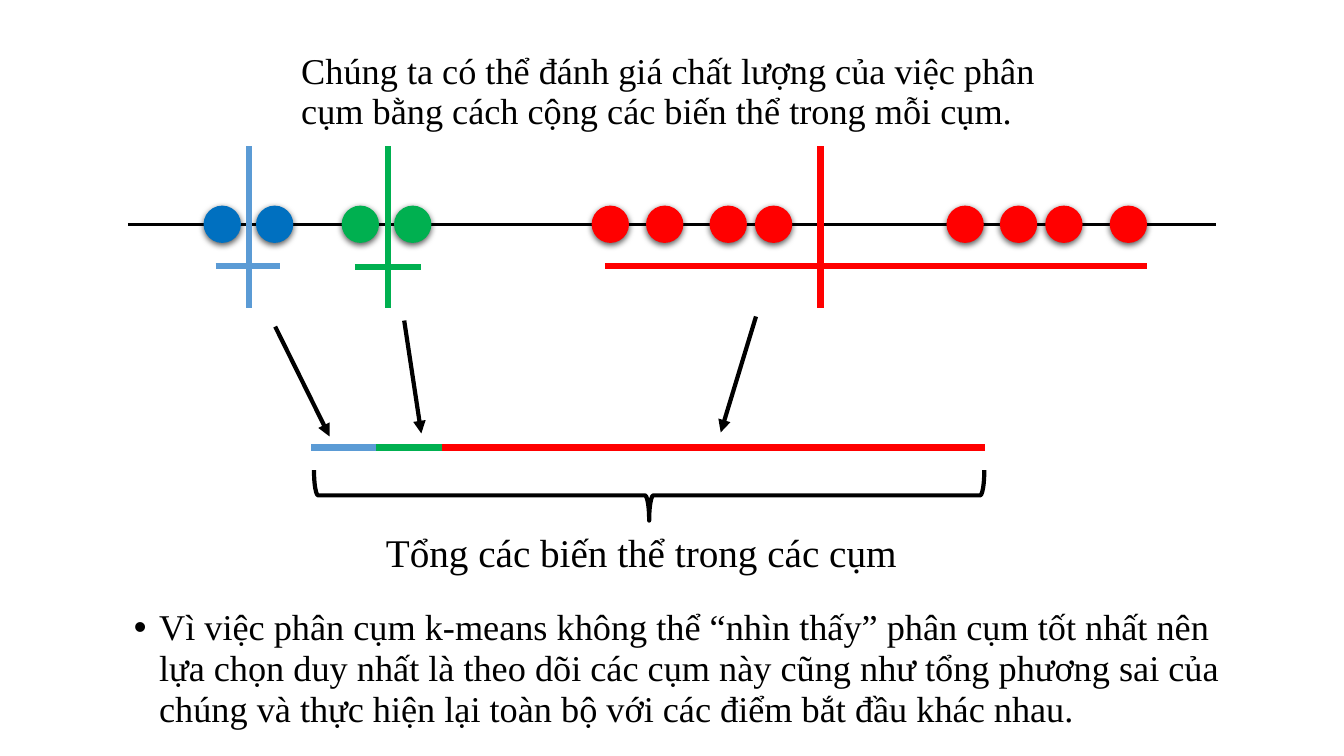
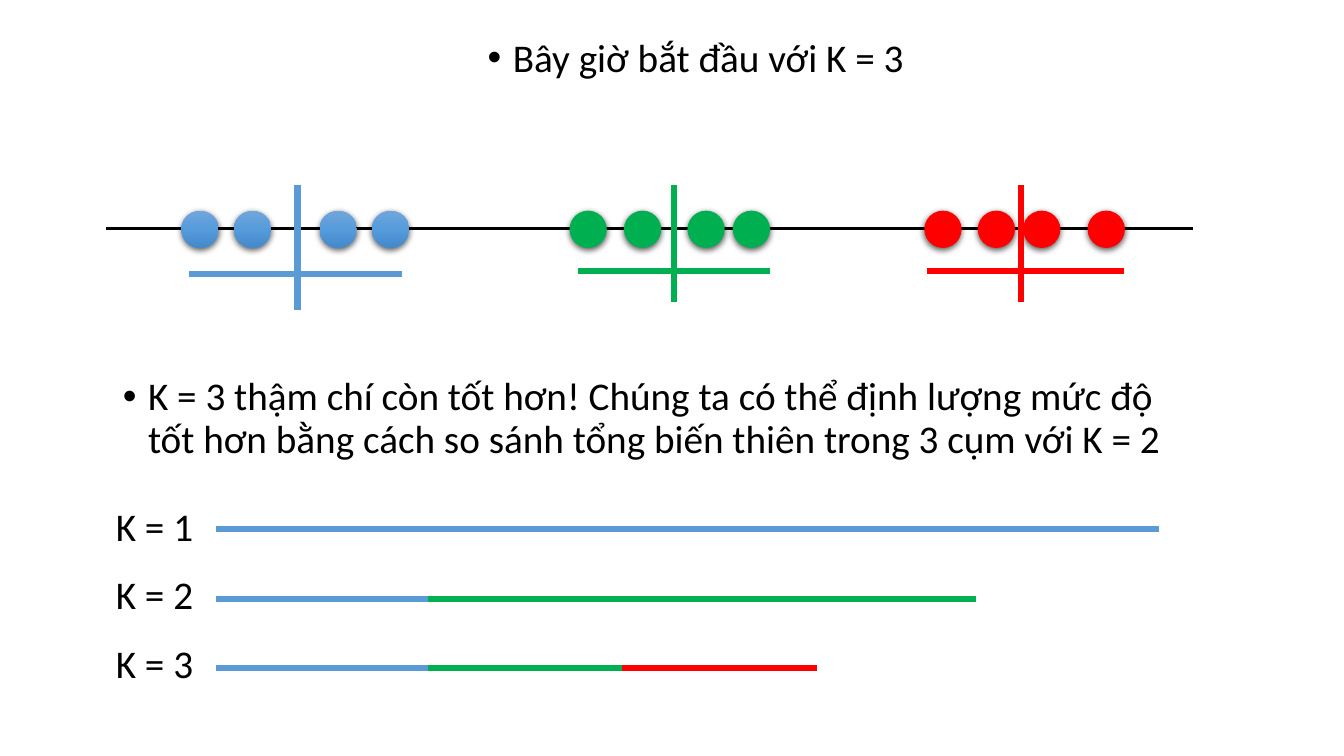
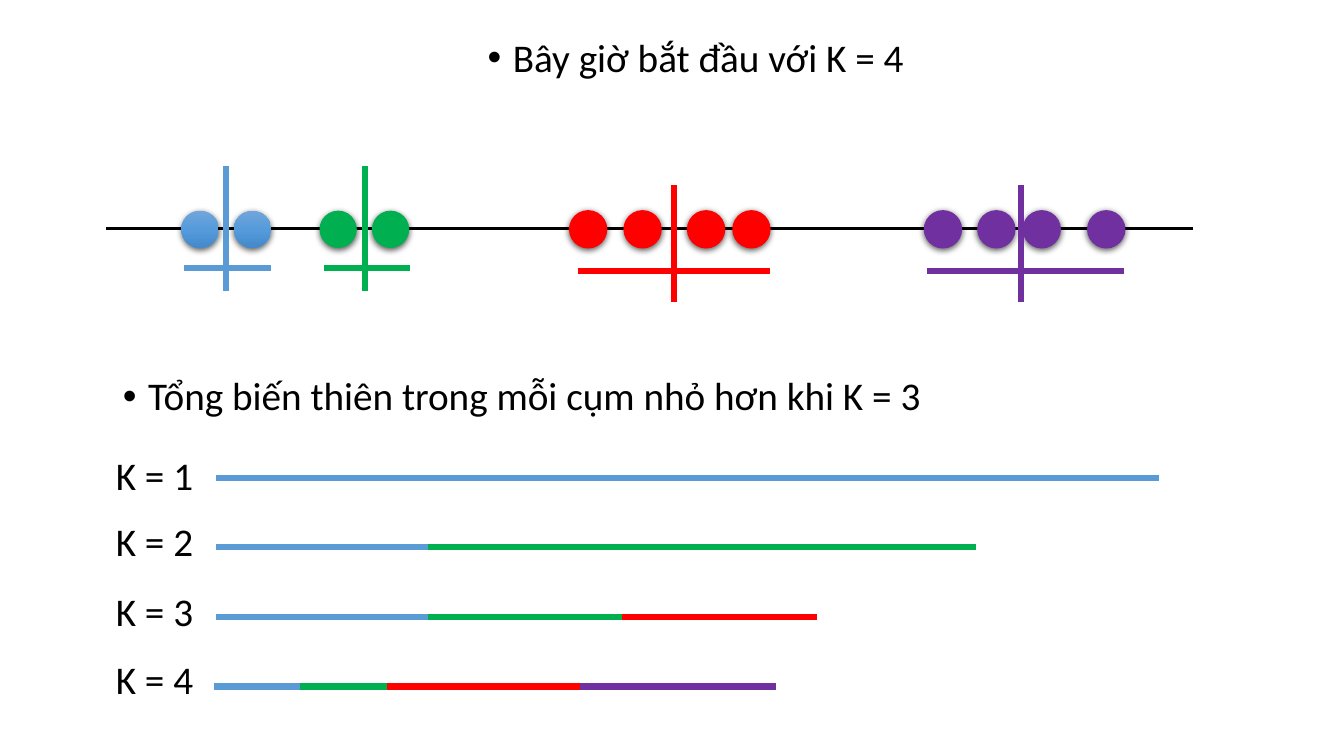
from copy import deepcopy
from itertools import pairwise

from lxml.etree import SubElement as Sub
from pptx import Presentation
from pptx.dml.color import RGBColor as Rgb
from pptx.enum.shapes import MSO_CONNECTOR as Link, MSO_SHAPE as Form
from pptx.oxml.ns import qn
from pptx.util import Emu, Pt

PX = 9144
HUES = {
    "black": "000000", "navy": "0070C0", "blue": "5B9BD5", "green": "00B050",
    "red": "FF0000", "purple": "7030A0",
    "light": "71A6DB", "mid": "559BDB", "deep": "448ACA",
}
ORDER = ["blue", "green", "red", "purple"]
SHADE = [(0, "light"), (0.5, "mid"), (1, "deep")]
TIMES = ("Times New Roman", 25.9, 0.94)
LARGE = ("Times New Roman", 28, 0.9)
PLAIN = ("Calibri", 28, 0.9)

DOTS = [180, 232, 317, 369, 565, 619, 682, 727, 917, 970, 1015, 1079]
DOT = 37
BARS = [
    (214, 1150),
    (214, 425, 968),
    (214, 425, 617, 811),
    (212, 298, 384, 575, 770),
]
PITCH = 69
TOTAL = (309, 373, 439, 977)
ARROWS = [(273, 324, 327, 433), (401, 318, 418, 430), (750, 314, 715, 429)]

SLIDES = [
    {
        "axis": (127, 1206, 223), "shift": 22, "dots": 204,
        "sets": [
            ("navy", 2, 0, "blue", (247, 145, 306), (214, 278, 264)),
            ("green", 2, 0, "green", (385, 145, 306), (352, 418, 265)),
            ("red", 8, 0, "red", (814, 145, 306), (600, 1138, 264)),
        ],
        "texts": [
            ((289, 46, 811, 107), "Chúng ta có thể đánh giá chất lượng của việc phân cụm bằng "
             "cách cộng các biến thể trong mỗi cụm.", TIMES, False),
            ((373, 524, 572, 71), "Tổng các biến thể trong các cụm", LARGE, False),
            ((123, 598, 1119, 133), "Vì việc phân cụm k-means không thể “nhìn thấy” phân cụm "
             "tốt nhất nên lựa chọn duy nhất là theo dõi các cụm này cũng như tổng phương sai "
             "của chúng và thực hiện lại toàn bộ với các điểm bắt đầu khác nhau.", TIMES, True),
        ],
        "rows": [], "base": 0,
    },
    {
        "axis": (105, 1184, 227), "shift": 0, "dots": 209,
        "sets": [
            ("blue", 4, 0, "blue", (295, 184, 308), (188, 399, 272)),
            ("green", 4, 0, "green", (669, 184, 300), (573, 764, 269)),
            ("red", 4, 0, "red", (1013, 184, 300), (920, 1115, 269)),
        ],
        "texts": [
            ((474, 33, 443, 97), "Bây giờ bắt đầu với K = 3", PLAIN, True),
            ((112, 369, 1072, 109), "K = 3 thậm chí còn tốt hơn! Chúng ta có thể định lượng "
             "mức độ tốt hơn bằng cách so sánh tổng biến thiên trong 3 cụm với K = 2",
             PLAIN, True),
        ],
        "rows": [499, 566, 635], "base": 525,
    },
    {
        "axis": (105, 1184, 227), "shift": 0, "dots": 209,
        "sets": [
            ("blue", 2, 0, "blue", (224, 165, 289), (183, 269, 266)),
            ("green", 2, 0, "green", (362, 165, 289), (321, 407, 266)),
            ("red", 4, 0.75, "red", (669, 184, 300), (573, 764, 269)),
            ("purple", 4, 0.75, "purple", (1013, 184, 300), (920, 1115, 269)),
        ],
        "texts": [
            ((474, 33, 443, 97), "Bây giờ bắt đầu với K = 4", PLAIN, True),
            ((112, 369, 1072, 70), "Tổng biến thiên trong mỗi cụm nhỏ hơn khi K = 3",
             PLAIN, True),
        ],
        "rows": [448, 514, 583, 650], "base": 474,
    },
]


def px(*nums):
    return [Emu(n * PX) for n in nums]


def hue(name):
    return Rgb.from_string(HUES[name])


def line(slide, ends, color, width=4.5, arrow=False):
    item = slide.shapes.add_connector(Link.STRAIGHT, *px(*ends))
    item.line.color.rgb = hue(color)
    item.line.width = Pt(width)
    if arrow:
        Sub(item.line._get_or_add_ln(), qn("a:tailEnd"), type="triangle")
    Sub(item._element.spPr, qn("a:effectLst"))


def text(slide, box, words, style, bullet=False):
    font, size, lead = style
    frame = slide.shapes.add_textbox(*px(*box)).text_frame
    frame.word_wrap = True
    para = frame.paragraphs[0]
    para.line_spacing = lead
    if bullet:
        props = para._p.get_or_add_pPr()
        props.set("marL", "228600")
        props.set("indent", "-228600")
        Sub(props, qn("a:buFont"), typeface="Arial")
        Sub(props, qn("a:buChar"), char="•")
    run = para.add_run()
    run.text = words
    run.font.name = font
    run.font.size = Pt(size)
    run.font.color.rgb = hue("black")


def blend(shape):
    shape.fill.gradient()
    shape.fill.gradient_angle = 270
    stops = shape._element.spPr.find(".//" + qn("a:gsLst"))
    stops.append(deepcopy(stops[0]))
    for stop, (place, color) in zip(shape.fill.gradient_stops, SHADE):
        stop.position = place
        stop.color.rgb = hue(color)


def dot(slide, left, top, color, edge):
    shape = slide.shapes.add_shape(Form.FLOWCHART_CONNECTOR, *px(left, top, DOT, DOT))
    if color == "blue":
        blend(shape)
    else:
        shape.fill.solid()
        shape.fill.fore_color.rgb = hue(color)
    if edge:
        shape.line.color.rgb = hue(color)
        shape.line.width = Pt(edge)
    else:
        shape.line.fill.background()
    shape.shadow.inherit = False
    glow = Sub(shape._element.spPr.find(qn("a:effectLst")), qn("a:outerShdw"),
               blurRad="57150", dist="19050", dir="5400000", algn="ctr", rotWithShape="0")
    tint = Sub(glow, qn("a:srgbClr"), val=HUES["black"])
    Sub(tint, qn("a:alpha"), val="63000")


def bar(slide, marks, y):
    for color, (left, right) in zip(ORDER, pairwise(marks)):
        line(slide, (left, y, right, y), color)


def brace(slide):
    shape = slide.shapes.add_shape(Form.RIGHT_BRACE, *px(619, 159, 50, 665))
    shape.rotation = 90
    shape.fill.background()
    shape.line.color.rgb = hue("black")
    shape.line.width = Pt(3)
    shape.shadow.inherit = False


def plot(slide, data):
    left, right, y = data["axis"]
    line(slide, (left, y, right, y), "black", 2.25)
    spots = iter(DOTS)
    for fill, count, edge, *_ in data["sets"]:
        for _ in range(count):
            dot(slide, next(spots) + data["shift"], data["dots"], fill, edge)
    for _, _, _, color, (x, top, base), (start, stop, y) in data["sets"]:
        line(slide, (x, top, x, base), color)
        line(slide, (start, y, stop, y), color)


def main():
    """Build three slides on judging k-means clusters by their variation."""
    deck = Presentation()
    deck.slide_width, deck.slide_height = Emu(12192000), Emu(6858000)
    for data in SLIDES:
        slide = deck.slides.add_slide(deck.slide_layouts[6])
        plot(slide, data)
        for item in data["texts"]:
            text(slide, *item)
        for k, top in enumerate(data["rows"]):
            text(slide, (105, top, 111, 59), f"K = {k + 1}", PLAIN)
            bar(slide, BARS[k], data["base"] + k * PITCH)
    first = deck.slides[0]
    bar(first, TOTAL, 444)
    brace(first)
    for ends in ARROWS:
        line(first, ends, "black", 3, True)
    deck.save("out.pptx")


if __name__ == "__main__":
    main()
